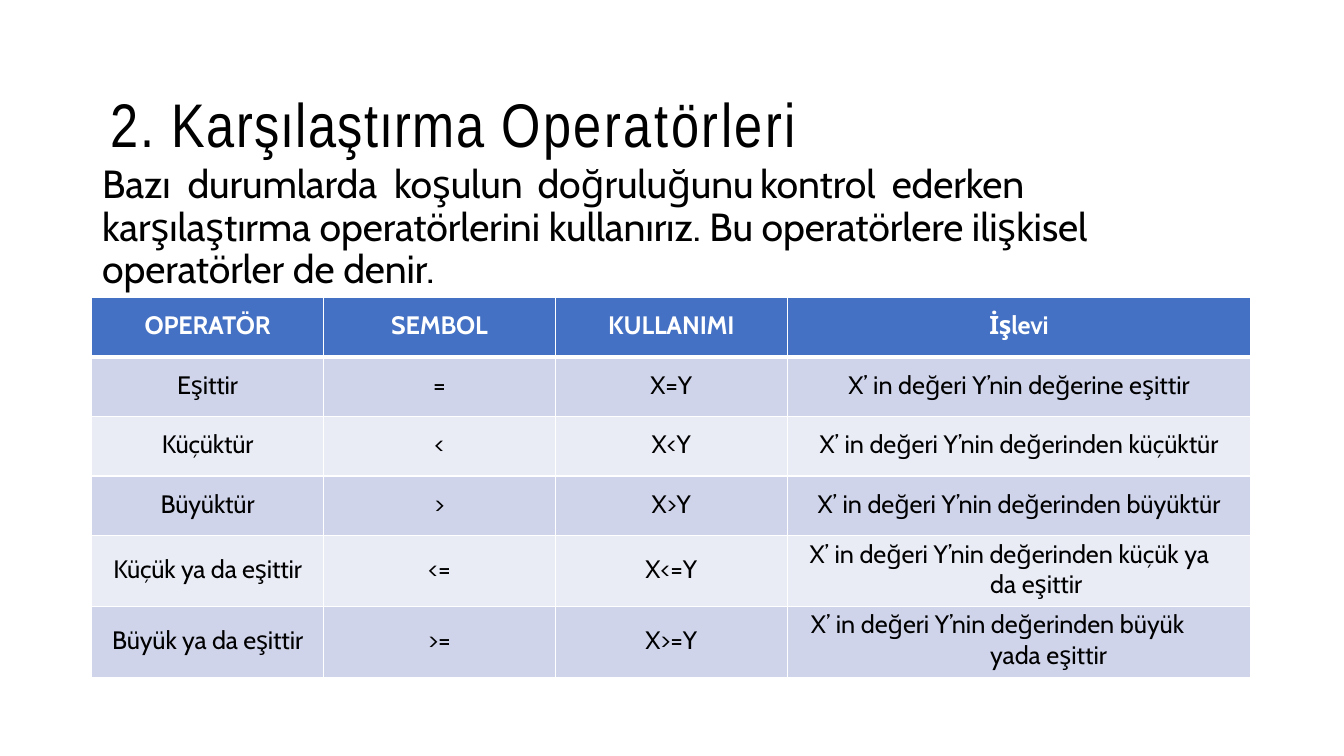
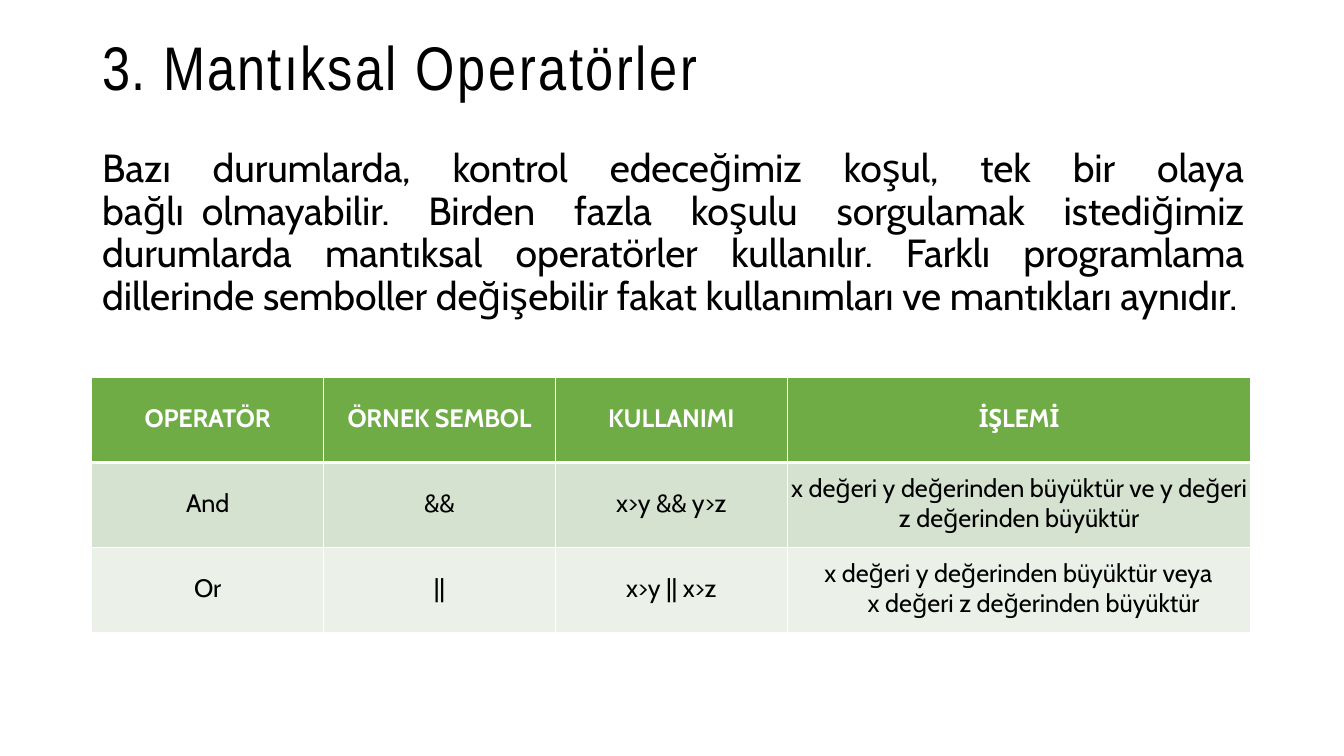
from dataclasses import dataclass
from lxml import etree
from pptx import Presentation
from pptx.dml.color import RGBColor
from pptx.enum import text
from pptx.oxml import ns
from pptx.util import Pt


@dataclass(frozen=True)
class Theme:
    black: str = "000000"
    white: str = "FFFFFF"
    blue: tuple = ("4471C4", "CFD4EA", "E9EBF5")   # header, odd rows, even rows
    green: tuple = ("6FAC46", "D4E2CF", "EBF0E9")
    title_font: str = "Arial Narrow"
    body_font: str = "Cabin"
    title_size: int = 44
    body_size: int = 28
    cell_size: int = 18
    body_tracking: float = -0.05
    label_tracking: float = -0.1
    prose_tracking: float = -0.03
    thin: int = 1
    thick: int = 3


class Deck:
    def __init__(self, theme):
        self.theme = theme
        self.prs = Presentation()
        self.prs.slide_width, self.prs.slide_height = Pt(960), Pt(540)
        self.s = None

    # Text helpers
    def style(self, r, color, spacing, **font):
        for name, value in font.items():
            setattr(r.font, name, value)
        r.font.color.rgb = RGBColor.from_string(color)
        r._r.get_or_add_rPr().set("spc", str(round(spacing * 100)))

    def frame(self, sp, box, **settings):
        sp.left, sp.top, sp.width, sp.height = map(Pt, box)
        tf = sp.text_frame
        values = dict(word_wrap=True, auto_size=text.MSO_AUTO_SIZE.NONE,
                      margin_left=0, margin_right=0, margin_top=0, margin_bottom=0)
        for name, value in (values | settings).items():
            setattr(tf, name, value)
        return tf.paragraphs[0]

    # Slide with its title, given as (words, letter spacing) pairs
    def slide(self, box, parts, **settings):
        t = self.theme
        self.s = self.prs.slides.add_slide(self.prs.slide_layouts[5])
        p = self.frame(self.s.shapes.title, box,
                       vertical_anchor=text.MSO_ANCHOR.MIDDLE, **settings)
        p.alignment = text.PP_ALIGN.LEFT
        for words, spacing in parts:
            r = p.add_run()
            r.text = words
            self.style(r, t.black, spacing, name=t.title_font, size=Pt(t.title_size))

    # Introductory paragraph of (words, extra word gap) parts; "\v" breaks a line
    def body(self, box, parts, align, line_spacing, tabs=()):
        t = self.theme
        p = self.frame(self.s.shapes.add_textbox(0, 0, 0, 0), box, margin_top=Pt(5))
        p.alignment, p.line_spacing = align, line_spacing
        if tabs:
            stops = etree.SubElement(p._p.get_or_add_pPr(), ns.qn("a:tabLst"))
            for pos in tabs:
                etree.SubElement(stops, ns.qn("a:tab"), pos=str(Pt(pos)), algn="l")
        for words, gap in parts:
            pieces = words.rstrip("\v").replace(" ", "| |").split("|") if gap else [words]
            for piece in filter(None, pieces):
                r = p.add_run()
                r.text = piece
                self.style(r, t.black, gap if piece == " " else t.body_tracking,
                           name=t.body_font, size=Pt(t.body_size))
            if words.endswith("\v"):
                p.add_line_break()

    # Table: last column twice as wide; hangs maps a cell to (margin, indent)
    def table(self, top, heights, colors, rows, hangs):
        width = 828
        table = self.s.shapes.add_table(
            len(rows), 4, Pt(65.5), Pt(top), Pt(width), Pt(sum(heights))).table
        table.first_row = table.horz_banding = False
        for column, share in zip(table.columns, (1, 1, 1, 2)):
            column.width = Pt(width * share / 5)
        for i, (row, height) in enumerate(zip(rows, heights)):
            table.rows[i].height = Pt(height)
            fill = colors[0] if i == 0 else colors[2 - i % 2]
            for j, words in enumerate(row):
                self.cell(table.cell(i, j), words, fill, i, j, hangs.get((i, j)))

    def cell(self, cell, words, fill, row, col, hang):
        t = self.theme
        for side, margin in dict(left=0, right=0, top=0, bottom=2).items():
            setattr(cell, f"margin_{side}", Pt(margin))
        cell.vertical_anchor = text.MSO_ANCHOR.MIDDLE
        cell.fill.solid()
        cell.fill.fore_color.rgb = RGBColor.from_string(fill)
        p = cell.text_frame.paragraphs[0]
        p.text = words
        if hang:
            p.alignment = text.PP_ALIGN.LEFT
            for name, value in zip(("marL", "indent"), hang):
                p._p.get_or_add_pPr().set(name, str(Pt(value)))
        else:
            p.alignment = text.PP_ALIGN.CENTER
        spacing = t.prose_tracking if row and col == 3 else t.label_tracking
        for r in p.runs:
            self.style(r, t.black if row else t.white, spacing, name=t.body_font,
                       size=Pt(t.cell_size), bold=row == 0)
        self.borders(cell, row)

    def borders(self, cell, row):
        t, tcPr = self.theme, cell._tc.get_or_add_tcPr()
        for k, side in enumerate("LRTB"):
            heavy = (row, side) in ((0, "B"), (1, "T"))
            ln = etree.Element(ns.qn(f"a:ln{side}"), w=str(Pt(t.thick if heavy else t.thin)))
            fill = etree.SubElement(ln, ns.qn("a:solidFill"))
            etree.SubElement(fill, ns.qn("a:srgbClr"), val=t.white)
            tcPr.insert(k, ln)


def main():
    theme = Theme()
    deck = Deck(theme)

    # Comparison operators
    deck.slide((66, 29, 828, 104),
               [("2. ", 1.2), ("Karşılaştırma ", 0.9), ("Operatörleri", 1.85)],
               margin_left=Pt(13), margin_top=Pt(13))
    deck.body((73, 112.5, 814.5, 66),
              [("Bazı\tdurumlarda\tkoşulun\tdoğruluğunu\tkontrol\tederken\t"
                "karşılaştırma operatörlerini kullanırız. Bu operatörlere ilişkisel "
                "operatörler de denir.", 0)],
              text.PP_ALIGN.LEFT, Pt(30.2), (61, 208.5, 311, 470, 564, 670.5))
    deck.table(212.5, [42.5] * 4 + [50.6] * 2, theme.blue, [
        ("OPERATÖR", "SEMBOL", "KULLANIMI", "İşlevi"),
        ("Eşittir", "=", "X=Y", "X’ in değeri Y’nin değerine eşittir"),
        ("Küçüktür", "<", "X<Y", "X’ in değeri Y’nin değerinden küçüktür"),
        ("Büyüktür", ">", "X>Y", "X’ in değeri Y’nin değerinden büyüktür"),
        ("Küçük ya da eşittir", "<=", "X<=Y",
         "X’ in değeri Y’nin değerinden küçük ya\vda eşittir"),
        ("Büyük ya da eşittir", ">=", "X>=Y",
         "X’ in değeri Y’nin değerinden büyük\vyada eşittir"),
    ], {(4, 3): (145, -129), (5, 3): (145, -128)})

    # Logical operators
    deck.slide((73, 19.5, 434, 55),
               [("3. ", 1.1), ("Mantıksal ", 1.6), ("Operatörler", 1.9)])
    deck.body((73, 101.5, 815.5, 126), [
        ("Bazı durumlarda, kontrol edeceğimiz koşul, tek bir olaya\v", 22),
        ("bağlı ", 6),
        ("olmayabilir. Birden fazla koşulu sorgulamak istediğimiz\v", 21),
        ("durumlarda mantıksal operatörler kullanılır. Farklı programlama "
         "dillerinde semboller değişebilir fakat kullanımları ve mantıkları aynıdır.", 0),
    ], text.PP_ALIGN.JUSTIFY, 0.9)
    deck.table(269.6, [60.7] * 3, theme.green, [
        ("OPERATÖR", "ÖRNEK SEMBOL", "KULLANIMI", "İŞLEMİ"),
        ("And", "&&", "x>y && y>z",
         "x değeri y değerinden büyüktür ve y değeri\vz değerinden büyüktür"),
        ("Or", "||", "x>y || x>z",
         "x değeri y değerinden büyüktür veya\vx değeri z değerinden büyüktür"),
    ], {(2, 3): (57.5, -31)})

    deck.prs.save("out.pptx")


if __name__ == "__main__":
    main()
